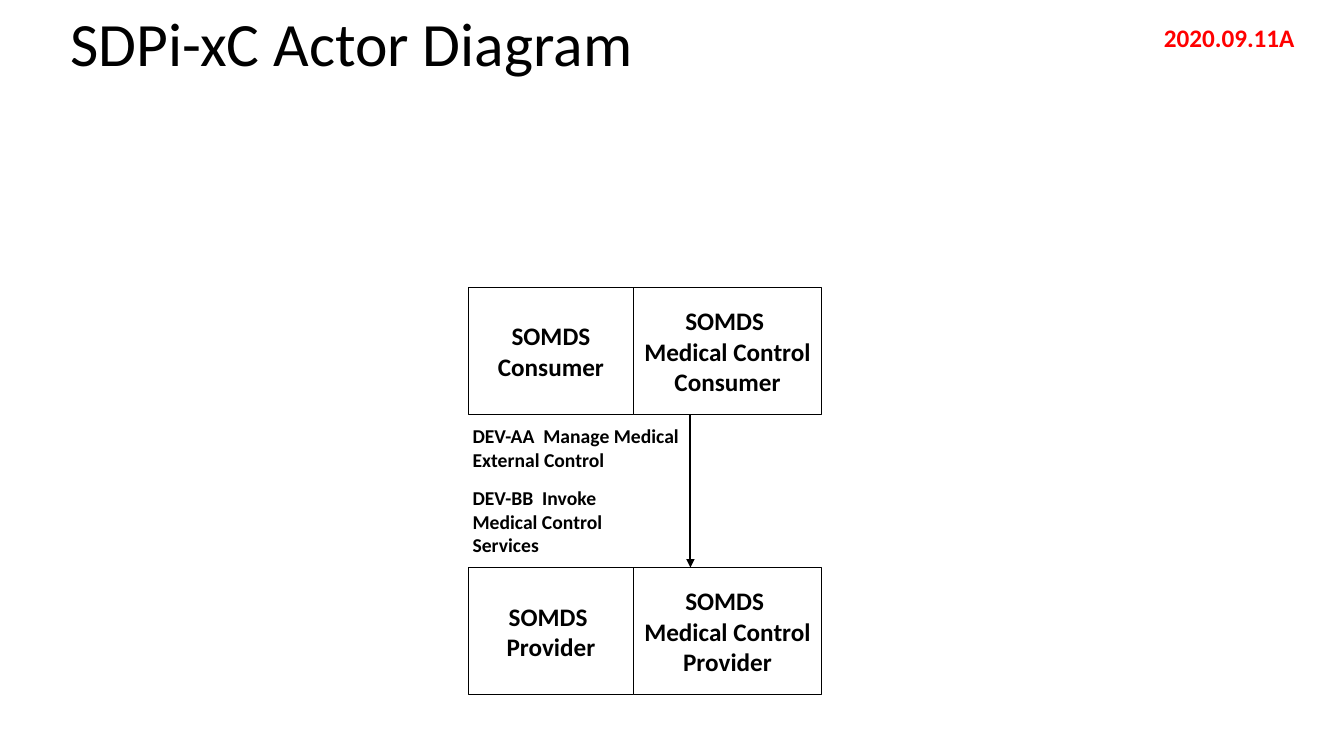
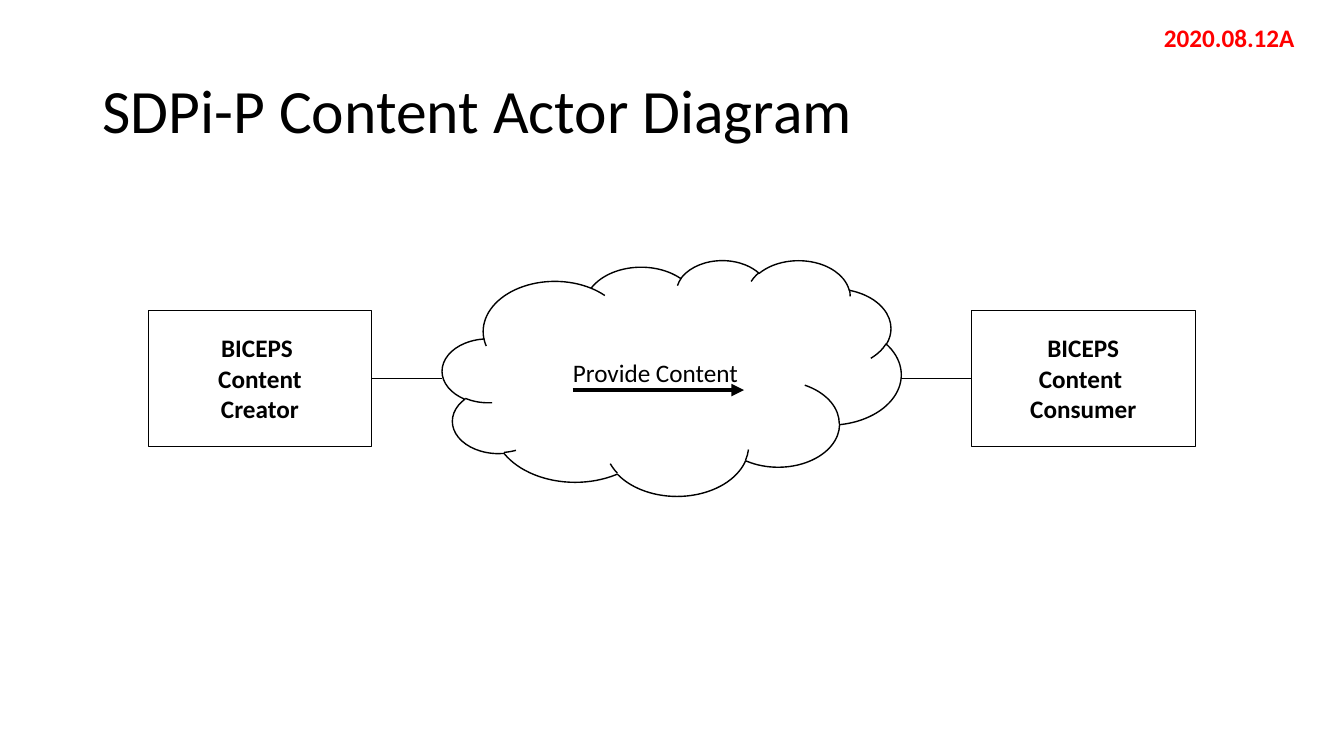
"""Build the two SDPi actor diagram slides."""
from dataclasses import dataclass

from lxml.etree import SubElement
from pptx import Presentation
from pptx.dml.color import RGBColor
from pptx.enum.shapes import MSO_CONNECTOR, MSO_SHAPE
from pptx.enum.text import MSO_ANCHOR, MSO_AUTO_SIZE, PP_ALIGN
from pptx.oxml.ns import qn
from pptx.util import Cm, Pt


@dataclass(frozen=True)
class Theme:
    """Colours, font and type sizes of the deck."""
    ink: RGBColor = RGBColor(0, 0, 0)
    paper: RGBColor = RGBColor(255, 255, 255)
    alert: RGBColor = RGBColor(255, 0, 0)
    font: str = "Calibri"
    title_size: float = 44
    body_size: float = 18
    note_size: float = 14
    thin: float = 0.5
    outline: float = 1
    arrow: float = 1.5
    thick: float = 3


THEME = Theme()


def write_text(frame, text, *, size=THEME.body_size, color=THEME.ink, bold=False,
               align=PP_ALIGN.LEFT, anchor=MSO_ANCHOR.TOP, spacing=1.0):
    """Fill a text frame, one paragraph for each line of text."""
    frame.word_wrap = True
    frame.auto_size = MSO_AUTO_SIZE.NONE
    frame.vertical_anchor = anchor
    for index, line in enumerate(text.split("\n")):
        para = frame.add_paragraph() if index else frame.paragraphs[0]
        para.alignment = align
        para.line_spacing = spacing
        span = para.add_run()
        span.text = line
        span.font.name = THEME.font
        span.font.size = Pt(size)
        span.font.bold = bold
        span.font.color.rgb = color


class DiagramDeck:
    """Holds the deck, its theme and the current page."""

    def __init__(self, theme):
        """Start an empty widescreen deck."""
        self.theme = theme
        self.deck = Presentation()
        self.deck.slide_width = Cm(33.87)
        self.deck.slide_height = Cm(19.05)
        self.page = None

    def add_page(self, title, version, left, top, height):
        """Add a page with its title and red version stamp."""
        self.page = self.deck.slides.add_slide(self.deck.slide_layouts[5])
        heading = self.page.shapes.title
        heading.left, heading.top = Cm(left), Cm(top)
        heading.width, heading.height = Cm(29.21), Cm(height)
        write_text(heading.text_frame, title, size=self.theme.title_size,
                   anchor=MSO_ANCHOR.MIDDLE, spacing=0.9)
        self.label(version, 29.08, 0.43, 4.09, 1.03, color=self.theme.alert)

    def label(self, text, left, top, width, height, **style):
        """Add a bold text box."""
        box = self.page.shapes.add_textbox(Cm(left), Cm(top), Cm(width), Cm(height))
        write_text(box.text_frame, text, bold=True, **style)

    def outline_shape(self, preset, text, left, top, width, height, weight, bold):
        """Add an unfilled outlined shape with centred text."""
        shape = self.page.shapes.add_shape(preset, Cm(left), Cm(top), Cm(width), Cm(height))
        shape.shadow.inherit = False
        shape.fill.background()
        shape.line.color.rgb = self.theme.ink
        shape.line.width = Pt(weight)
        write_text(shape.text_frame, text, bold=bold,
                   align=PP_ALIGN.CENTER, anchor=MSO_ANCHOR.MIDDLE)
        return shape

    def actor(self, text, left, top, width, height):
        """Add a white actor rectangle."""
        box = self.outline_shape(MSO_SHAPE.RECTANGLE, text, left, top, width, height,
                                 self.theme.thin, True)
        box.fill.solid()
        box.fill.fore_color.rgb = self.theme.paper
        return box

    def cloud(self, text, left, top, width, height):
        """Add a cloud."""
        self.outline_shape(MSO_SHAPE.CLOUD, text, left, top, width, height,
                           self.theme.outline, False)

    def line(self, start, end, weight, arrow=False):
        """Add a straight line, with an arrowhead at its end if asked."""
        link = self.page.shapes.add_connector(
            MSO_CONNECTOR.STRAIGHT, *(Cm(value) for value in (*start, *end)))
        link.line.color.rgb = self.theme.ink
        link.line.width = Pt(weight)
        if arrow:
            SubElement(link.line._get_or_add_ln(), qn("a:tailEnd"), type="triangle")
        SubElement(link._element.spPr, qn("a:effectLst"))
        return link


def add_control_page(deck):
    """Draw the consumer pair above the provider pair."""
    deck.add_page("SDPi-xC Actor Diagram", "2020.09.11A", 1.52, 0.1, 2.13)
    left, base_width, control_width, height = 11.81, 4.15, 4.75, 3.21
    consumer_top, provider_top = 7.24, 14.3
    pairs = (
        (provider_top, "SOMDS \nProvider", "SOMDS \nMedical Control Provider"),
        (consumer_top, "SOMDS Consumer", "SOMDS \nMedical Control Consumer"),
    )
    for top, base, control in pairs:
        deck.actor(base, left, top, base_width, height)
        deck.actor(control, left + base_width, top, control_width, height)
    notes = (
        ("DEV-AA  Manage Medical External Control", 10.57, 5.8, 1.45),
        ("DEV-BB  Invoke Medical Control Services", 12.12, 5.13, 2.06),
    )
    for text, top, width, note_height in notes:
        deck.label(text, 11.66, top, width, note_height, size=deck.theme.note_size)
    deck.line((17.4, consumer_top + height), (17.4, provider_top),
              deck.theme.arrow, arrow=True)


def add_content_page(deck):
    """Draw the creator and consumer joined through the cloud."""
    deck.add_page("SDPi-P Content Actor Diagram", "2020.08.12A", 2.33, 1.01, 3.68)
    top, width, height = 7.81, 5.64, 3.43
    creator_left, consumer_left = 3.73, 24.48
    cloud_left, cloud_width = 11.15, 11.56
    middle = top + height / 2
    creator = deck.actor("BICEPS \nContent\nCreator", creator_left, top, width, height)
    consumer = deck.actor("BICEPS\nContent \nConsumer", consumer_left, top, width, height)
    deck.cloud("Provide Content", cloud_left, 6.55, cloud_width, 5.94)
    deck.line((14.43, 9.83), (18.75, 9.83), deck.theme.thick, arrow=True)
    creator_link = deck.line((creator_left + width, middle), (cloud_left, middle),
                             deck.theme.thin)
    creator_link.begin_connect(creator, 3)
    consumer_link = deck.line((cloud_left + cloud_width, middle), (consumer_left, middle),
                              deck.theme.thin)
    consumer_link.end_connect(consumer, 1)


def main():
    """Build and save the deck."""
    diagrams = DiagramDeck(THEME)
    add_control_page(diagrams)
    add_content_page(diagrams)
    diagrams.deck.save("out.pptx")


if __name__ == "__main__":
    main()
